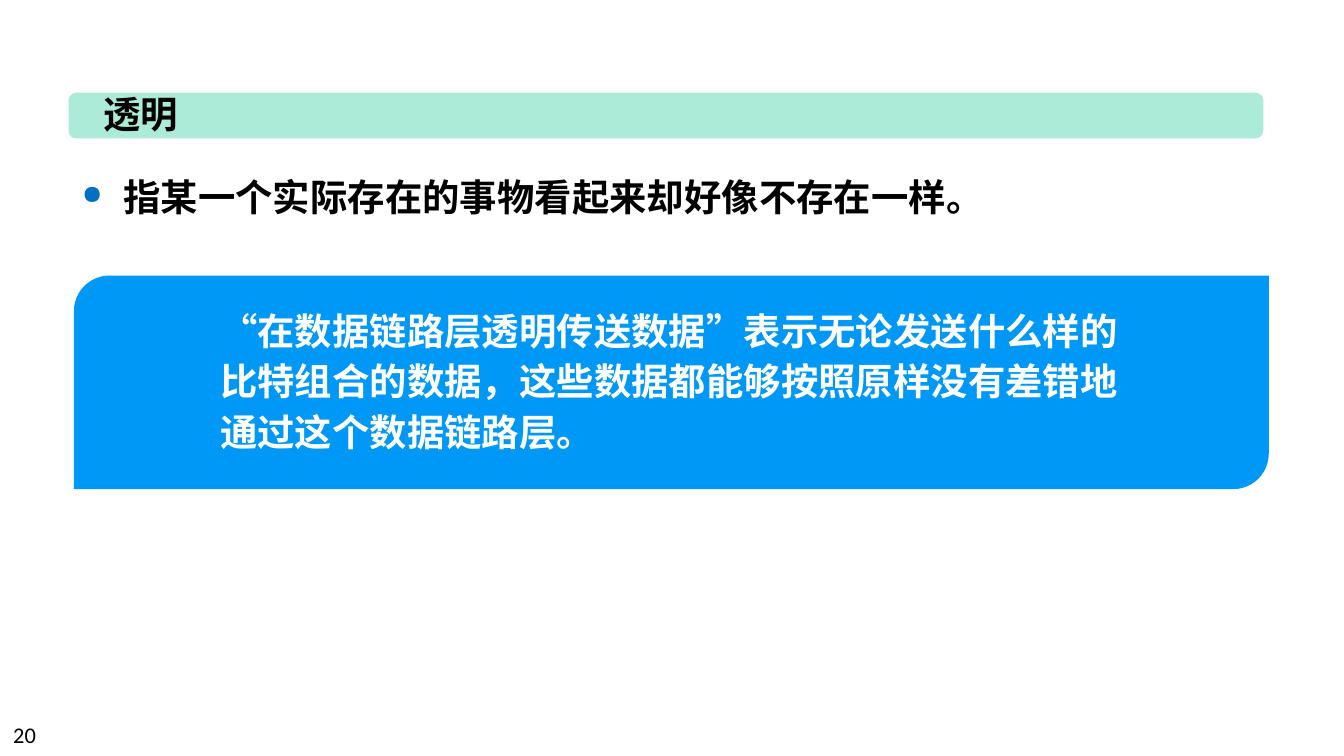
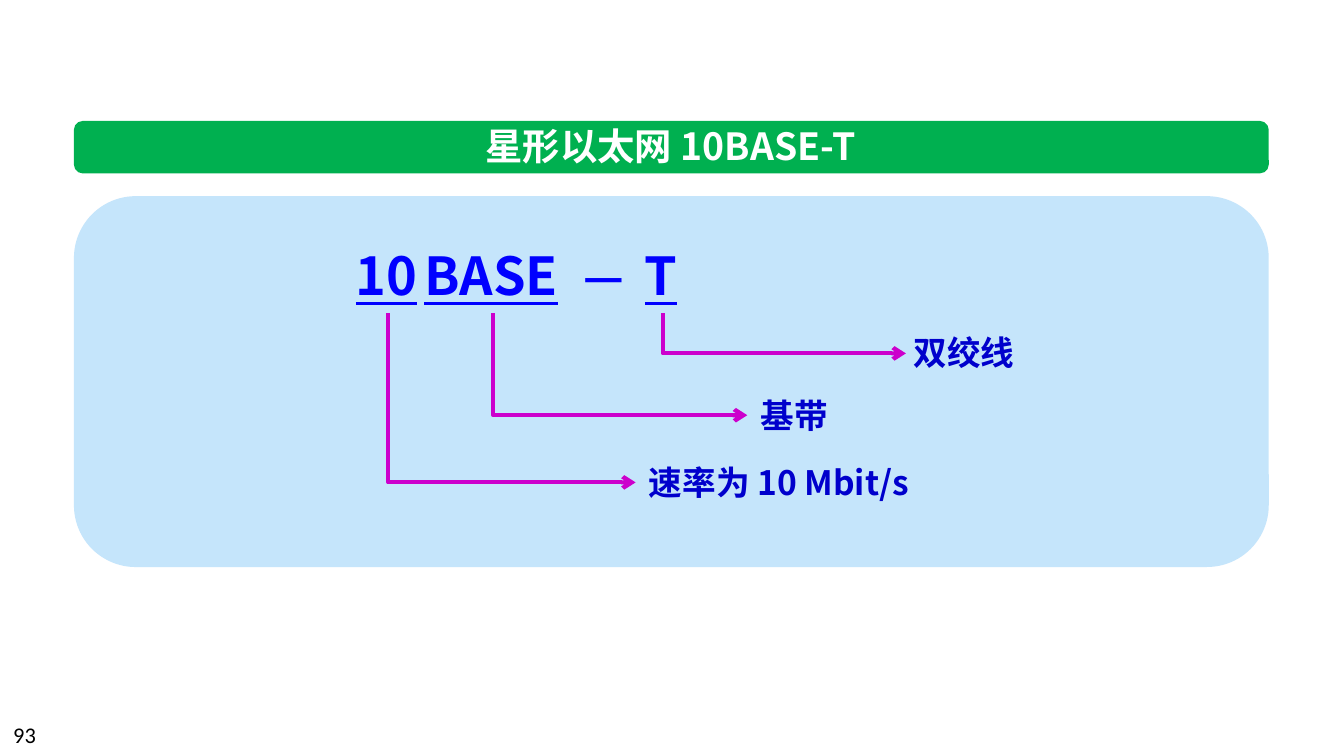
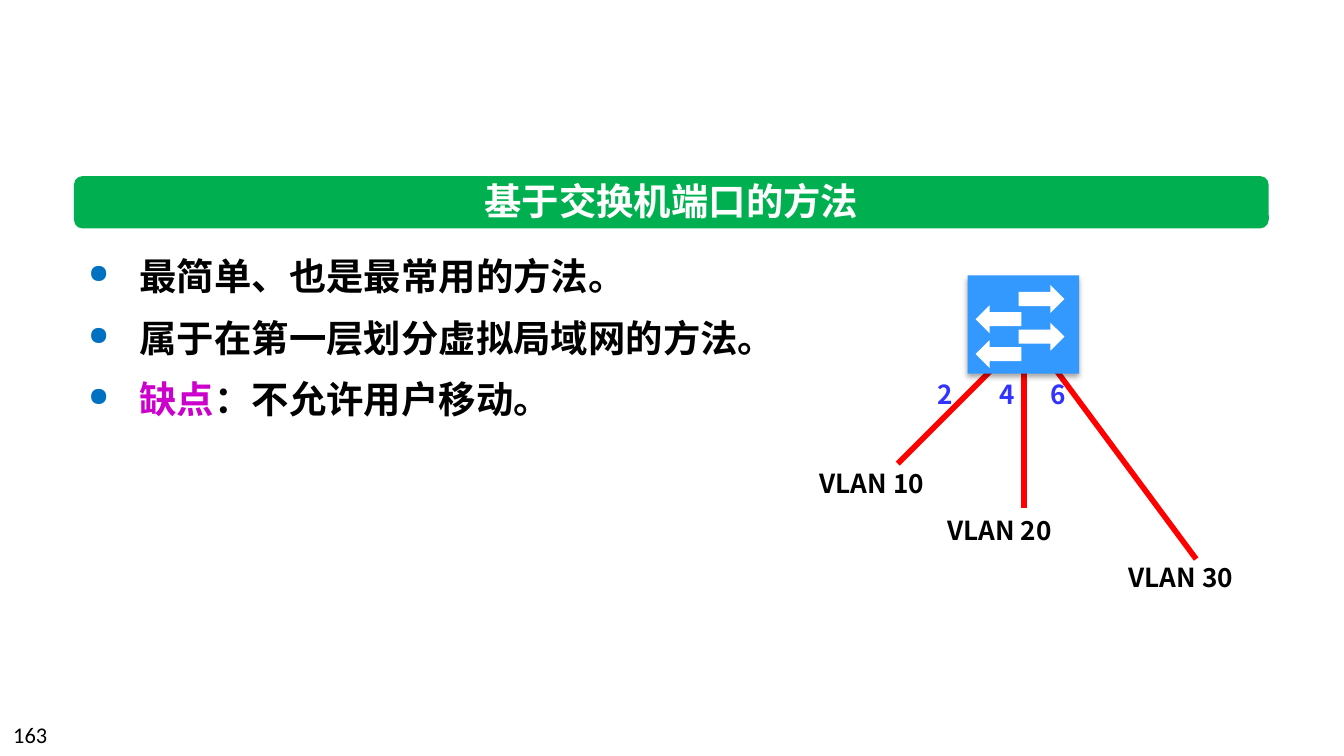
from lxml import etree
from pptx import Presentation
from pptx import util as u
from pptx.dml.color import RGBColor
from pptx.enum import lang, shapes, text
from pptx.oxml.ns import qn

PX = 9144  # 100 px to the inch
CJK = "Noto Sans CJK SC"
BLACK, WHITE, BULLET = "000000", "FFFFFF", "0070C0"
MINT, GREEN, BLUE, PALE_BLUE = "ABEBD7", "00B050", "0098F6", "C5E5FB"
PURPLE, CODE_BLUE, MEANING_BLUE = "CC00CC", "0000FF", "0000CC"
RED, SWITCH_BLUE, PORT_BLUE = "FF0000", "3399FF", "3333FF"
KIND = shapes.MSO_SHAPE


def block(slide, kind, box, color):
    """Add a filled preset shape without outline or shadow."""
    shape = slide.shapes.add_shape(kind, *(n * PX for n in box))
    shape.shadow.inherit = False
    shape.fill.solid()
    shape.fill.fore_color.rgb = RGBColor.from_string(color)
    shape.line.fill.background()
    return shape


def label(slide, box, paragraphs, size, color=BLACK, wrap=False, grow=True,
          align=text.PP_ALIGN.LEFT, leading=None, indent=0, face=CJK, bold=True, underline=None):
    """Add a text box; each paragraph is a string or a list of (words, colour) runs."""
    frame = slide.shapes.add_textbox(*(n * PX for n in box)).text_frame
    frame.word_wrap = wrap
    frame.auto_size = text.MSO_AUTO_SIZE.SHAPE_TO_FIT_TEXT if grow else text.MSO_AUTO_SIZE.NONE
    for i, content in enumerate(paragraphs):
        para = frame.add_paragraph() if i else frame.paragraphs[0]
        para.alignment = align
        if leading:
            para.line_spacing = u.Pt(leading)
        if indent:
            props = para._p.get_or_add_pPr()
            props.set("marL", str(indent * PX))
            props.set("indent", str(-indent * PX))
            bullet_color = etree.SubElement(props, qn("a:buClr"))
            etree.SubElement(bullet_color, qn("a:srgbClr"), val=BULLET)
            etree.SubElement(props, qn("a:buSzPct"), val="70000")
            etree.SubElement(props, qn("a:buChar"), char="●")
        for words, ink in [(content, color)] if isinstance(content, str) else content:
            run = para.add_run()
            run.text = words
            style = {"name": face, "size": u.Pt(size), "bold": bold, "underline": underline,
                     "language_id": lang.MSO_LANGUAGE_ID.SIMPLIFIED_CHINESE}
            for key, value in style.items():
                setattr(run.font, key, value)
            run.font.color.rgb = RGBColor.from_string(ink)
            etree.SubElement(run._r.get_or_add_rPr(), qn("a:ea"), typeface=face)


prs = Presentation()
prs.slide_width = 1000 * PX
prs.slide_height = prs.slide_width * 9 // 16
blank = prs.slide_layouts[6]
CENTER = text.PP_ALIGN.CENTER

# What every slide shares: page number, title band and title
pages = [
    ("20", "透明", (51, 69, 889, 34), MINT, BLACK, (67, 63, 76, 44), text.PP_ALIGN.LEFT),
    ("93", "星形以太网 10BASE-T", (55, 90, 889, 39), GREEN, WHITE, (346, 87, 306, 44), CENTER),
    ("163", "基于交换机端口的方法", (55, 131, 889, 39), GREEN, WHITE, (349, 128, 301, 44), CENTER),
]
slides = []
for number, title, band, band_color, title_color, title_box, align in pages:
    slide = prs.slides.add_slide(blank)
    block(slide, KIND.ROUNDED_RECTANGLE, band, band_color)
    label(slide, title_box, [title], 20, title_color, align=align)
    label(slide, (0, 532, 233, 30), [number], 12, wrap=True, grow=False, face="Calibri", bold=False)
    slides.append(slide)
transparency, ethernet, vlan = slides

# Transparency: definition and example
label(transparency, (51, 112, 889, 51), ["指某一个实际存在的事物看起来却好像不存在一样。"],
      20, wrap=True, leading=33, indent=31)
block(transparency, KIND.ROUND_2_DIAG_RECTANGLE, (55, 205, 889, 159), BLUE)
label(transparency, (154, 220, 711, 121),
      ["“在数据链路层透明传送数据”表示无论发送什么样的比特组合的数据，这些数据都能够按照原样没有差错地通过这个数据链路层。"],
      20, WHITE, wrap=True, leading=27)

# 10BASE-T: the parts of the name and what they mean
block(ethernet, KIND.ROUNDED_RECTANGLE, (55, 146, 889, 276), PALE_BLUE)
for part, left, width in [("10", 255, 69), ("BASE", 306, 123), ("T", 470, 45)]:
    label(ethernet, (left, 176, width, 57), [part], 28, CODE_BLUE, underline=True)
label(ethernet, (424, 180, 38, 50), ["—"], 24, CODE_BLUE, wrap=True)

arrow_top = 233
meanings = [
    ("双绞线", 493, 674, 263, (670, 242, 96, 40)),
    ("基带", 367, 556, 309, (556, 289, 71, 40)),
    ("速率为 10 Mbit/s", 289, 473, 359, (473, 339, 235, 40)),
]
for meaning, start, end, level, meaning_box in meanings:
    # The elbow is laid out upright around its centre, then turned by 270 degrees
    run_length, drop = end - start, level - arrow_top
    mid_x, mid_y = (start + end) / 2, (arrow_top + level) / 2
    corners = (mid_x + drop / 2, mid_y - run_length / 2, mid_x - drop / 2, mid_y + run_length / 2)
    arrow = ethernet.shapes.add_connector(shapes.MSO_CONNECTOR.ELBOW, *(int(n * PX) for n in corners))
    arrow.line.color.rgb = RGBColor.from_string(PURPLE)
    arrow.line.width = u.Pt(2.25)
    arrow_props = arrow._element.spPr
    arrow_props.find(qn("a:xfrm")).set("rot", "16200000")
    arrow_props.find(qn("a:prstGeom")).set("prst", "bentConnector2")
    etree.SubElement(arrow.line._get_or_add_ln(), qn("a:tailEnd"), type="arrow")
    etree.SubElement(arrow_props, qn("a:effectLst"))
    label(ethernet, meaning_box, [meaning], 18, MEANING_BLUE)

# VLAN by switch port: key points and a switch with three ports
label(vlan, (56, 171, 888, 149),
      ["最简单、也是最常用的方法。",
       "属于在第一层划分虚拟局域网的方法。",
       [("缺点", PURPLE), ("：不允许用户移动。", BLACK)]],
      20, wrap=True, leading=33, indent=38)

for cable in [(743, 270, 668, 345), (762, 270, 762, 378), (781, 269, 890, 416)]:
    link = vlan.shapes.add_connector(shapes.MSO_CONNECTOR.STRAIGHT, *(n * PX for n in cable))
    link.line.color.rgb = RGBColor.from_string(RED)
    link.line.width = u.Pt(3)
    etree.SubElement(link._element.spPr, qn("a:effectLst"))

switch = block(vlan, KIND.RECTANGLE, (720, 205, 83, 73), SWITCH_BLUE)
shadow = etree.SubElement(switch._element.spPr.find(qn("a:effectLst")), qn("a:outerShdw"),
                          blurRad=str(u.Pt(3.1)), dist=str(u.Pt(1.8)), dir="5400000", rotWithShape="0")
shadow_color = etree.SubElement(shadow, qn("a:srgbClr"), val=BLACK)
etree.SubElement(shadow_color, qn("a:alpha"), val="35000")

for left, top, flipped in [(758, 212, False), (758, 240, False), (726, 227, True), (726, 253, True)]:
    flow = block(vlan, KIND.RIGHT_ARROW, (left, top, 34, 21), WHITE)
    if flipped:
        flow._element.spPr.find(qn("a:xfrm")).set("flipH", "1")

ports = [("2", 688, "VLAN 10", 600), ("4", 734, "VLAN 20", 695), ("6", 772, "VLAN 30", 830)]
for i, (port, port_left, network, network_left) in enumerate(ports):
    label(vlan, (port_left, 277, 32, 34), [port], 14, PORT_BLUE)
    label(vlan, (network_left, 343 + 35 * i, 107, 34), [network], 14)

prs.save("out.pptx")
